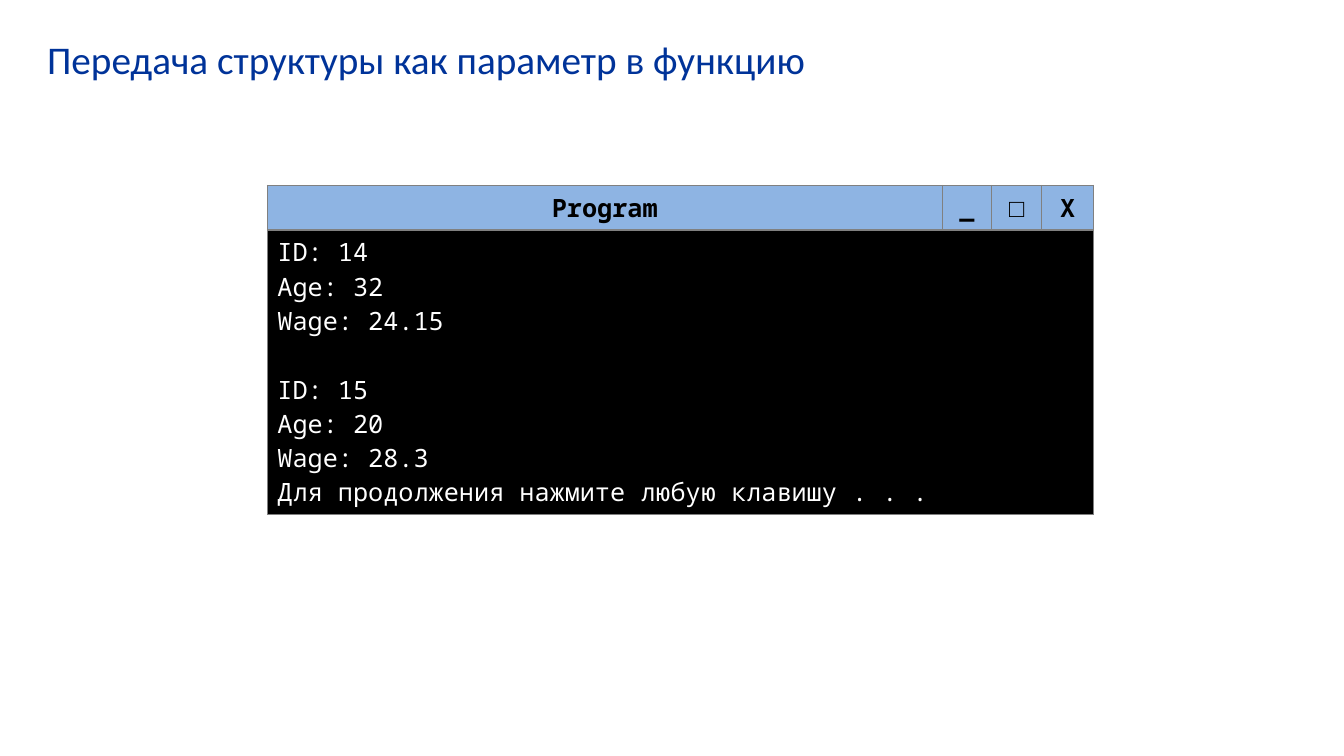
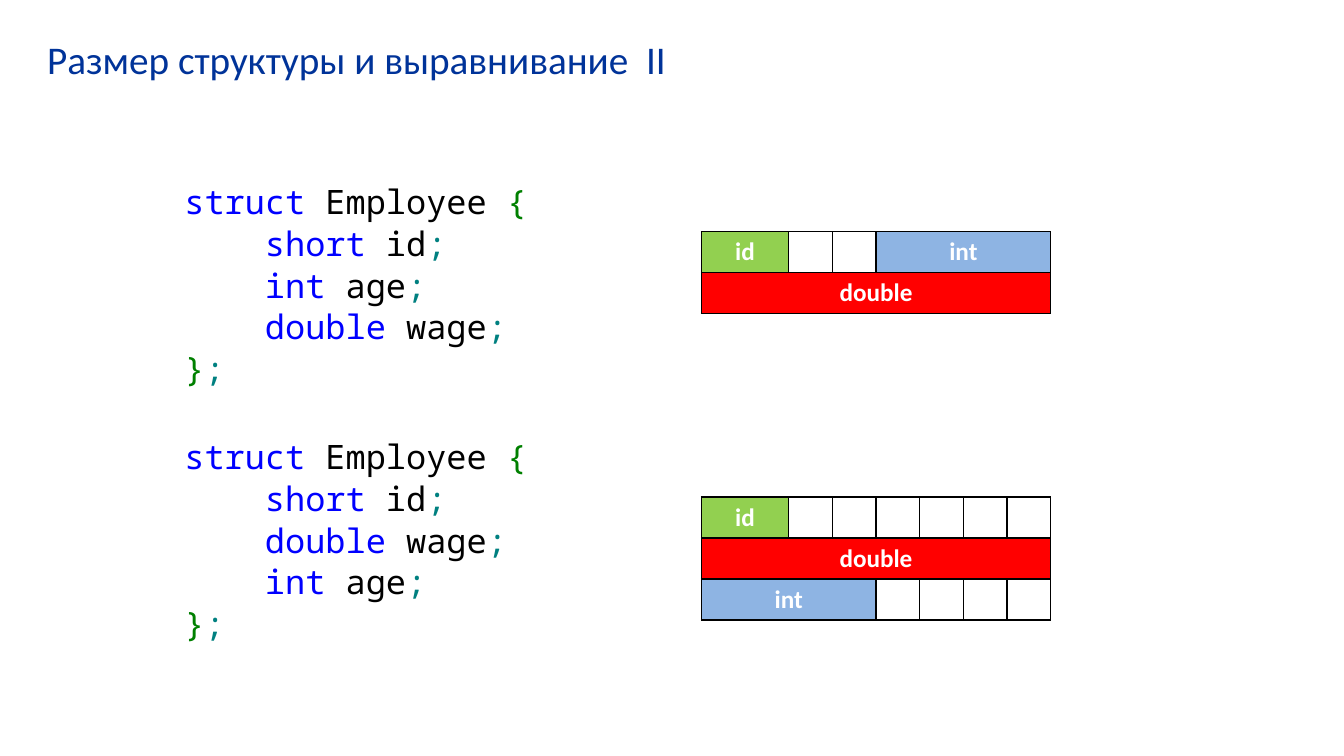
from dataclasses import dataclass

from lxml.etree import SubElement
from pptx import Presentation
from pptx.dml.color import RGBColor as Rgb
from pptx.enum.text import MSO_ANCHOR as Anchor, PP_ALIGN as Align
from pptx.oxml.ns import qn
from pptx.util import Pt


@dataclass(frozen=True)
class Theme:
    """Colours, fonts and type sizes of the deck."""
    black: Rgb = Rgb(0x00, 0x00, 0x00)
    white: Rgb = Rgb(0xFF, 0xFF, 0xFF)
    grey: Rgb = Rgb(0x80, 0x80, 0x80)
    navy: Rgb = Rgb(0x00, 0x33, 0x99)
    sky: Rgb = Rgb(0x8E, 0xB4, 0xE3)
    lime: Rgb = Rgb(0x92, 0xD0, 0x50)
    red: Rgb = Rgb(0xFF, 0x00, 0x00)
    keyword: Rgb = Rgb(0x00, 0x00, 0xFF)
    brace: Rgb = Rgb(0x00, 0x80, 0x00)
    semicolon: Rgb = Rgb(0x00, 0x80, 0x80)
    sans: str = "Calibri"
    mono: str = "Noto Sans Mono"
    title_size: float = 28
    code_size: float = 24
    table_size: float = 18
    mono_line: float = 1.36
    mono_width: float = 0.6


class DeckBuilder:
    """Holds the style and the current slide, and draws each kind of element."""

    def __init__(self, theme):
        self.theme = theme
        self.deck = Presentation()
        self.deck.slide_width, self.deck.slide_height = Pt(960), Pt(540)
        self.page = None

    def start_page(self, title):
        self.page = self.deck.slides.add_slide(self.deck.slide_layouts[6])
        frame = self.text_box(26.6, 21.6, 907, 67)
        frame.text = title
        self.style(frame.paragraphs[0], self.theme.sans, self.theme.title_size, self.theme.navy)

    def text_box(self, left, top, width, height):
        box = self.page.shapes.add_textbox(Pt(left), Pt(top), Pt(width), Pt(height))
        box.text_frame.word_wrap = True
        return box.text_frame

    def style(self, para, name, size, color, bold=False):
        for span in para.runs:
            font = span.font
            font.name, font.size, font.bold = name, Pt(size), bold
            font.color.rgb = color

    def code(self, left, top, width, height, structs):
        theme = self.theme
        frame = self.text_box(left, top, width, height)
        paras = iter([frame.paragraphs[0]])
        for number, fields in enumerate(structs):
            lines = [(0, [("struct", theme.keyword), (" Employee ", theme.black), ("{", theme.brace)])]
            lines += [(4, [(kind, theme.keyword), (f" {name}", theme.black), (";", theme.semicolon)])
                      for kind, name in fields]
            lines.append((0, [("}", theme.brace), (";", theme.semicolon)]))
            for row, (indent, tokens) in enumerate(lines):
                para = next(paras, None) or frame.add_paragraph()
                gap = theme.code_size * theme.mono_line + 1.8 if number and row == 0 else 0.9
                para.space_before = Pt(gap)
                margin = Pt(indent * theme.code_size * theme.mono_width)
                para._p.get_or_add_pPr().set("marL", str(margin))
                for text, color in tokens:
                    span = para.add_run()
                    span.text = text
                    span.font.name, span.font.size = theme.mono, Pt(theme.code_size)
                    span.font.color.rgb = color

    def table(self, left, top, widths, heights, border):
        frame = self.page.shapes.add_table(
            len(heights), len(widths), Pt(left), Pt(top), Pt(sum(widths)), Pt(sum(heights)))
        grid = frame.table
        grid.first_row = grid.horz_banding = False
        for column, width in zip(grid.columns, widths):
            column.width = Pt(width)
        for row, height in zip(grid.rows, heights):
            row.height = Pt(height)
        for cell in grid.iter_cells():
            self.outline(cell, border)
        return grid

    def outline(self, cell, color):
        properties = cell._tc.get_or_add_tcPr()
        for side in ("a:lnL", "a:lnR", "a:lnT", "a:lnB"):
            line = SubElement(properties, qn(side), w=str(Pt(1)))
            fill = SubElement(line, qn("a:solidFill"))
            SubElement(fill, qn("a:srgbClr"), val=str(color))

    def fill_cell(self, cell, text, fill, name, color, bold=True, align=Align.CENTER):
        cell.fill.solid()
        cell.fill.fore_color.rgb = fill
        cell.vertical_anchor = Anchor.MIDDLE
        cell.text = text
        for para in cell.text_frame.paragraphs:
            para.alignment = align
            self.style(para, name, self.theme.table_size, color, bold)

    def console(self, left, top, widths, heights, groups):
        theme = self.theme
        grid = self.table(left, top, widths, heights, theme.grey)
        for column, label in enumerate(("Program", "_", "□", "X")):
            self.fill_cell(grid.cell(0, column), label, theme.sky, theme.mono, theme.black)
        screen = grid.cell(1, 0)
        screen.merge(grid.cell(1, len(widths) - 1))
        output = "\n".join(line for group in groups for line in group)
        self.fill_cell(screen, output, theme.black, theme.mono, theme.white, False, Align.LEFT)
        screen.vertical_anchor = Anchor.TOP
        start = 0
        for group in groups[:-1]:
            start += len(group)
            screen.text_frame.paragraphs[start].space_before = Pt(theme.table_size * theme.mono_line)

    def memory(self, left, top, column_bytes, rows):
        theme = self.theme
        byte_width, row_height = 31.2, 29.3
        fills = {"id": theme.lime, "int": theme.sky, "double": theme.red, "": theme.white}
        grid = self.table(left, top, [count * byte_width for count in column_bytes],
                          [row_height] * len(rows), theme.black)
        for row, fields in enumerate(rows):
            column = 0
            for label, columns in fields:
                cell = grid.cell(row, column)
                if columns > 1:
                    cell.merge(grid.cell(row, column + columns - 1))
                self.fill_cell(cell, label, fills[label], theme.sans, theme.white)
                column += columns


def main():
    builder = DeckBuilder(Theme())

    builder.start_page("Передача структуры как параметр в функцию")
    builder.console(191, 132.5, [482, 35.5, 35.5, 37.2], [31.8, 203.3], [
        ["ID: 14", "Age: 32", "Wage: 24.15"],
        ["ID: 15", "Age: 20", "Wage: 28.3", "Для продолжения нажмите любую клавишу . . ."],
    ])

    builder.start_page("Размер структуры и выравнивание  II")
    short_id, int_age, double_wage = ("short", "id"), ("int", "age"), ("double", "wage")
    builder.code(124.6, 126, 640, 356, [
        [short_id, int_age, double_wage],
        [short_id, double_wage, int_age],
    ])
    padding = ("", 1)
    builder.memory(501, 165.6, [2, 1, 1, 4], [
        [("id", 1), padding, padding, ("int", 1)],
        [("double", 4)],
    ])
    builder.memory(501, 355, [2] + [1] * 6, [
        [("id", 1)] + [padding] * 6,
        [("double", 7)],
        [("int", 3)] + [padding] * 4,
    ])

    builder.deck.save("out.pptx")


if __name__ == "__main__":
    main()
